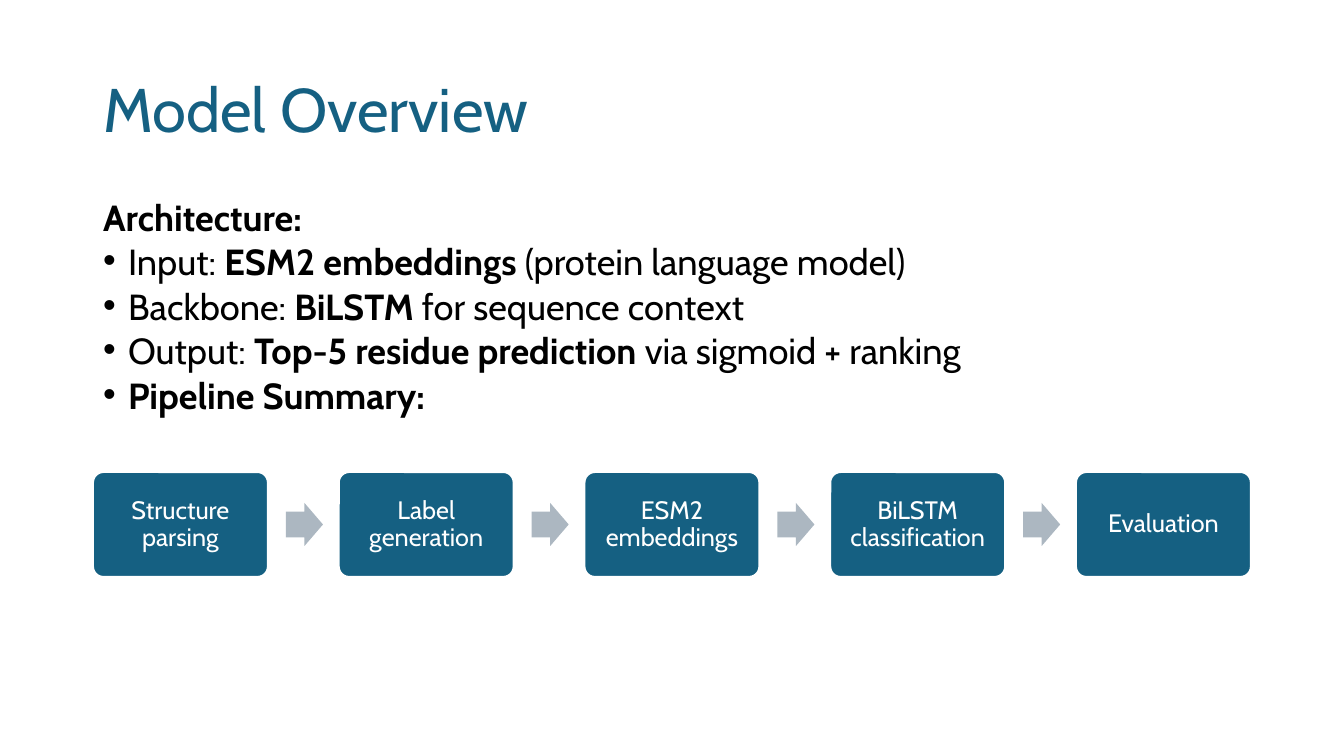
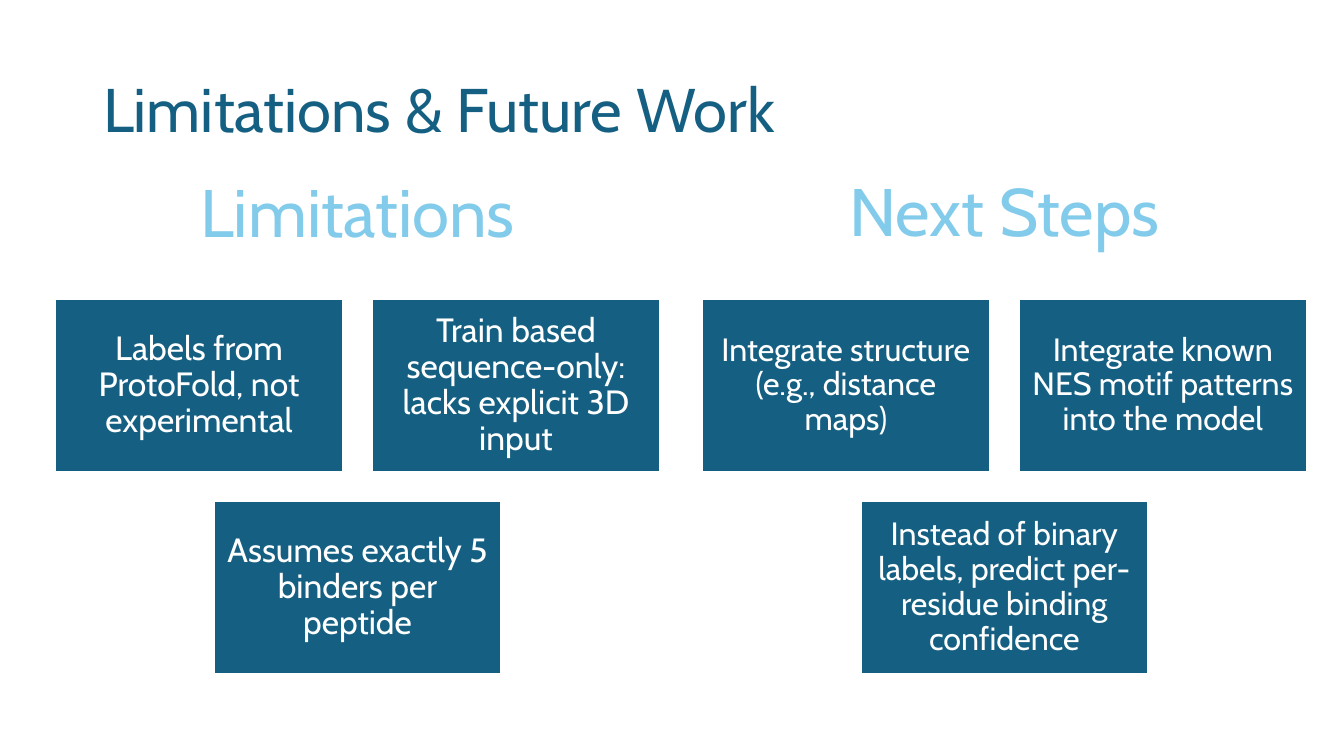
import dataclasses

import lxml.etree
import pptx
import pptx.dml.color
import pptx.enum.shapes
import pptx.enum.text
import pptx.oxml.ns
import pptx.util

EMU_PER_PX = 914400 / 100.8
ALIGN = pptx.enum.text.PP_ALIGN
ANCHOR = pptx.enum.text.MSO_ANCHOR
SHAPE = pptx.enum.shapes.MSO_SHAPE


@dataclasses.dataclass(frozen=True)
class Theme:
    font: str = "Cabin"
    blue: str = "156082"
    sky: str = "83CBEB"
    grey: str = "ACB7C1"
    white: str = "FFFFFF"
    black: str = "000000"
    title_size: float = 44
    heading_size: float = 48
    body_size: float = 25.9
    step_size: float = 18
    outline: float = 1.5


THEME = Theme()
TITLE_BOX = (93, 40, 1159, 146)

ARCHITECTURE = [
    [("Architecture:", True)],
    [("Input: ", False), ("ESM2 embeddings", True), (" (protein language model)", False)],
    [("Backbone: ", False), ("BiLSTM", True), (" for sequence context", False)],
    [("Output: ", False), ("Top-5 residue prediction", True), (" via sigmoid + ranking", False)],
    [("Pipeline Summary:", True)],
]
STEPS = ["Structure parsing", "Label generation", "ESM2 embeddings",
         "BiLSTM classification", "Evaluation"]
LIMITATIONS = [
    "Labels from ProtoFold, not experimental",
    "Train based sequence-only: lacks explicit 3D input",
    "Assumes exactly 5 binders per peptide",
]
NEXT_STEPS = [
    "Integrate structure (e.g., distance maps)",
    "Integrate known NES motif patterns into the model",
    "Instead of binary labels, predict per-residue binding confidence",
]


def px(length):
    return pptx.util.Emu(round(length * EMU_PER_PX))


def rgb(colour):
    return pptx.dml.color.RGBColor.from_string(colour)


def place(shape, box):
    shape.left, shape.top, shape.width, shape.height = map(px, box)


def set_bullet(para, bullet, indent):
    properties = para._p.get_or_add_pPr()
    properties.set("marL", str(px(indent)))
    properties.set("indent", str(-px(indent)))
    name = "a:buChar" if bullet else "a:buNone"
    mark = lxml.etree.SubElement(properties, pptx.oxml.ns.qn(name))
    if bullet:
        mark.set("char", bullet)


def write(shape, paragraphs, *, size, colour, align=ALIGN.LEFT, anchor=ANCHOR.TOP,
          line=0.9, before=0, inset=None):
    frame = shape.text_frame
    frame.word_wrap = True
    frame.auto_size = pptx.enum.text.MSO_AUTO_SIZE.NONE
    frame.vertical_anchor = anchor
    if inset is not None:
        frame.margin_left = frame.margin_right = px(inset)
        frame.margin_top = frame.margin_bottom = px(inset)
    if isinstance(paragraphs, str):
        paragraphs = [[(paragraphs, False)]]
    for index, spans in enumerate(paragraphs):
        para = frame.add_paragraph() if index else frame.paragraphs[0]
        para.alignment = align
        para.line_spacing = line
        para.space_before = pptx.util.Pt(before)
        for text, bold in spans:
            span = para.add_run()
            span.text = text
            span.font.name = THEME.font
            span.font.size = pptx.util.Pt(size)
            span.font.bold = bold
            span.font.color.rgb = rgb(colour)
    return frame.paragraphs


def add_block(page, kind, box, fill, outline=None):
    block = page.shapes.add_shape(kind, *map(px, box))
    block.shadow.inherit = False
    block.fill.solid()
    block.fill.fore_color.rgb = rgb(fill)
    if outline:
        block.line.color.rgb = rgb(outline)
        block.line.width = pptx.util.Pt(THEME.outline)
    else:
        block.line.fill.background()
    return block


def add_page(deck, layout_name, title):
    page = deck.slides.add_slide(deck.slide_layouts.get_by_name(layout_name))
    place(page.shapes.title, TITLE_BOX)
    write(page.shapes.title, title, size=THEME.title_size, colour=THEME.blue,
          anchor=ANCHOR.MIDDLE)
    return page


def fill_body(page, box, paragraphs):
    body = page.placeholders[1]
    place(body, box)
    paras = write(body, paragraphs, size=THEME.body_size, colour=THEME.black,
                  line=0.7, before=10)
    for index, para in enumerate(paras):
        set_bullet(para, "•" if index else None, indent=25)


def add_pipeline(page, box, steps):
    left, top, width, height = box
    step_width, arrow_gap, arrow_width, arrow_height = 175, 18, 37, 43
    pitch = (width - step_width) / (len(steps) - 1)
    for index, label in enumerate(steps):
        step_left = left + index * pitch
        step = add_block(page, SHAPE.ROUNDED_RECTANGLE,
                         (step_left, top, step_width, height), THEME.blue, THEME.white)
        step.adjustments[0] = 0.1
        write(step, label, size=THEME.step_size, colour=THEME.white,
              align=ALIGN.CENTER, anchor=ANCHOR.MIDDLE, inset=7)
        if index < len(steps) - 1:
            arrow_box = (step_left + step_width + arrow_gap,
                         top + (height - arrow_height) / 2, arrow_width, arrow_height)
            arrow = add_block(page, SHAPE.RIGHT_ARROW, arrow_box, THEME.grey)
            arrow.adjustments[0] = 0.6
            arrow.adjustments[1] = 0.5


def add_card_panel(page, box, heading, cards, size):
    left, top, width, height = box
    columns, gap, card_height, heading_width, heading_height = 2, 29, 173, 420, 92
    card_width = (width - (columns - 1) * gap) / columns
    heading_box = page.shapes.add_textbox(
        px(left + (width - heading_width) / 2), px(top), px(heading_width), px(heading_height))
    write(heading_box, heading, size=THEME.heading_size, colour=THEME.sky,
          align=ALIGN.CENTER, line=1.0)
    rows = [cards[start:start + columns] for start in range(0, len(cards), columns)]
    first_top = top + height - len(rows) * card_height - (len(rows) - 1) * gap
    for row, labels in enumerate(rows):
        row_width = len(labels) * card_width + (len(labels) - 1) * gap
        row_left = left + (width - row_width) / 2
        for column, label in enumerate(labels):
            card_box = (row_left + column * (card_width + gap),
                        first_top + row * (card_height + gap), card_width, card_height)
            card = add_block(page, SHAPE.RECTANGLE, card_box, THEME.blue, THEME.white)
            write(card, label, size=size, colour=THEME.white,
                  align=ALIGN.CENTER, anchor=ANCHOR.MIDDLE, inset=10)


def add_overview_page(deck):
    page = add_page(deck, "Title and Content", "Model Overview")
    fill_body(page, (93, 202, 1159, 220), ARCHITECTURE)
    add_pipeline(page, (93, 472, 1158, 105), STEPS)


def add_future_page(deck):
    page = add_page(deck, "Title Only", "Limitations & Future Work")
    add_card_panel(page, (55, 165, 605, 509), "Limitations", LIMITATIONS, size=24)
    add_card_panel(page, (702, 164, 605, 510), "Next Steps", NEXT_STEPS, size=23)


def main():
    deck = pptx.Presentation()
    deck.slide_width, deck.slide_height = px(1344), px(756)
    add_overview_page(deck)
    add_future_page(deck)
    deck.save("out.pptx")


if __name__ == "__main__":
    main()
